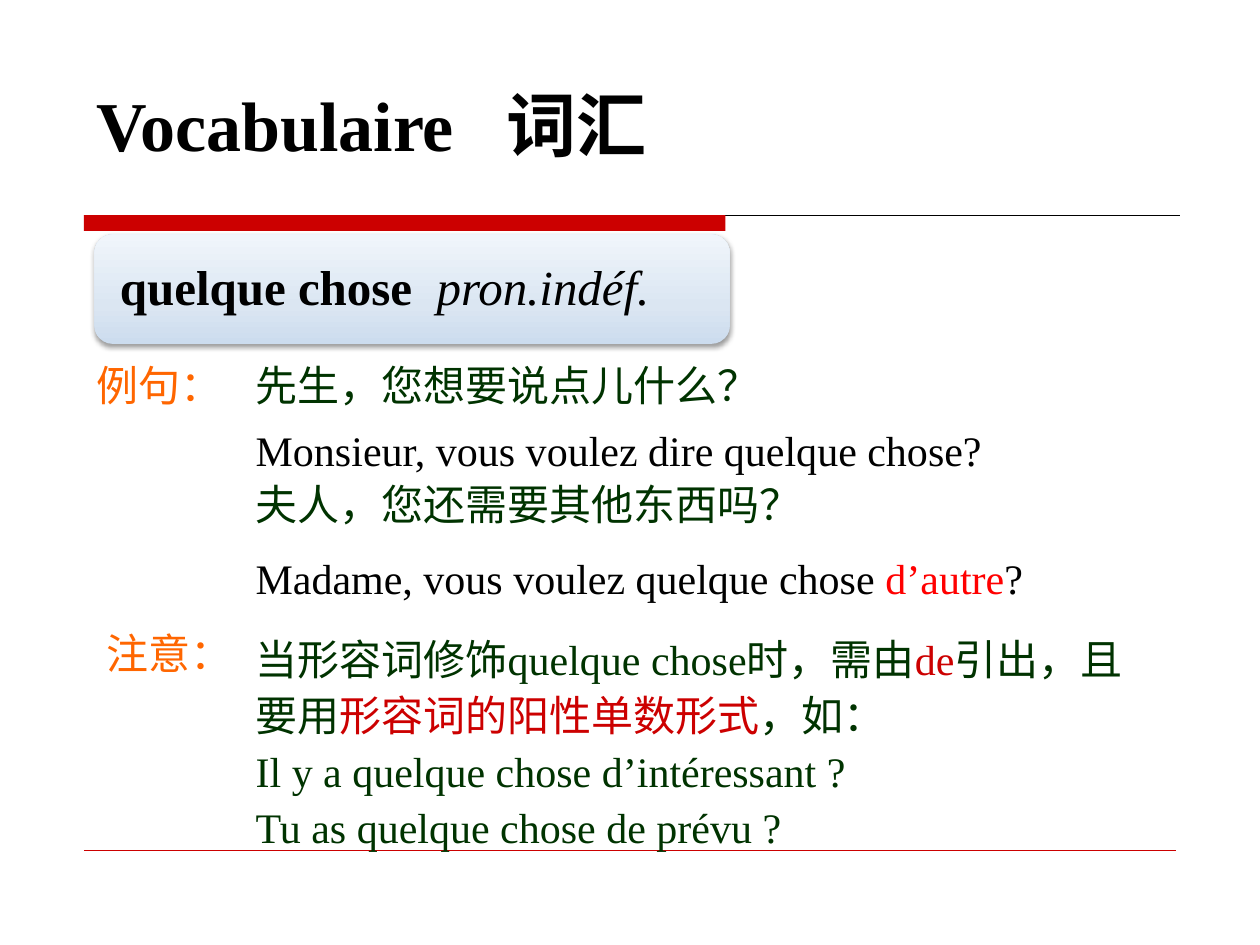
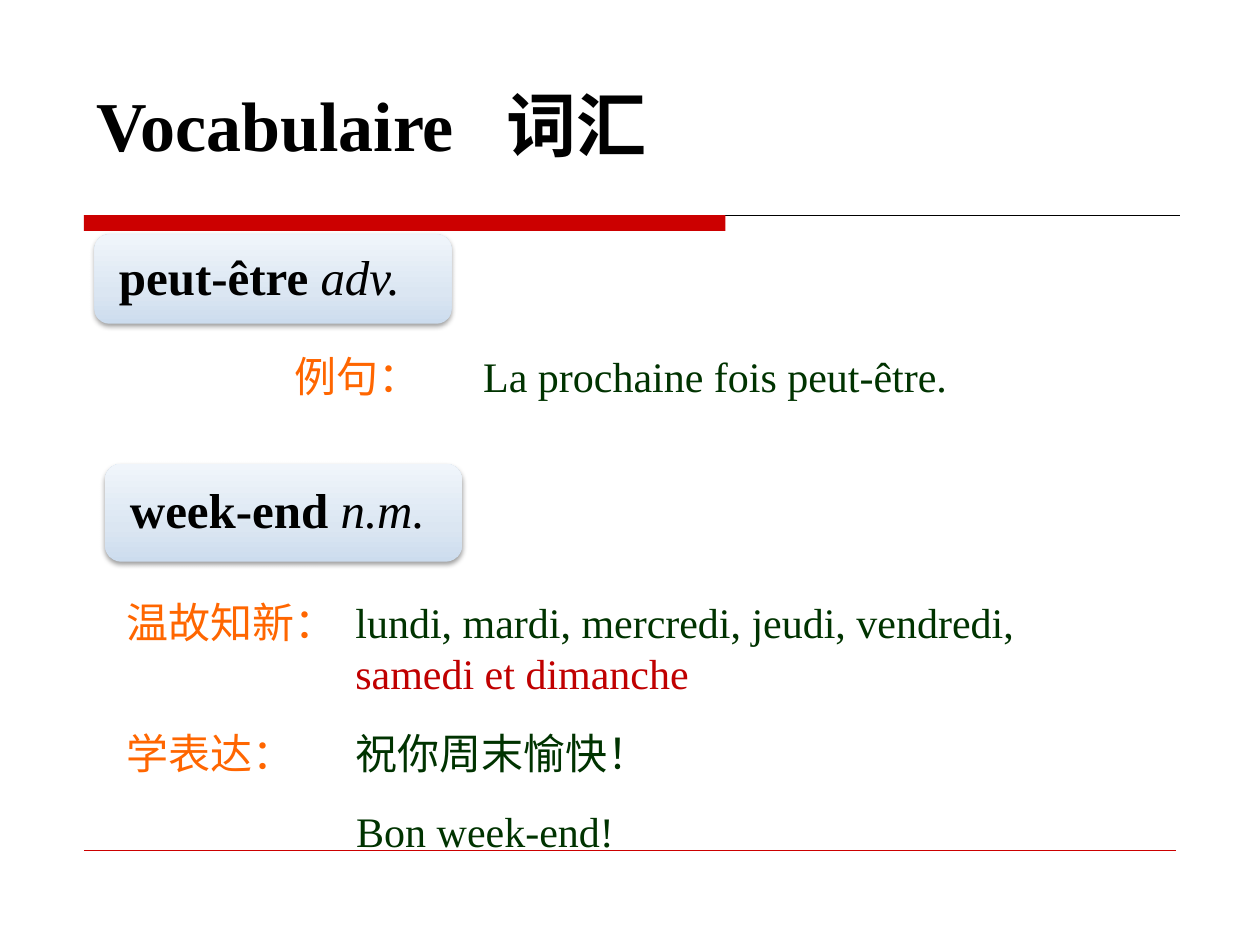
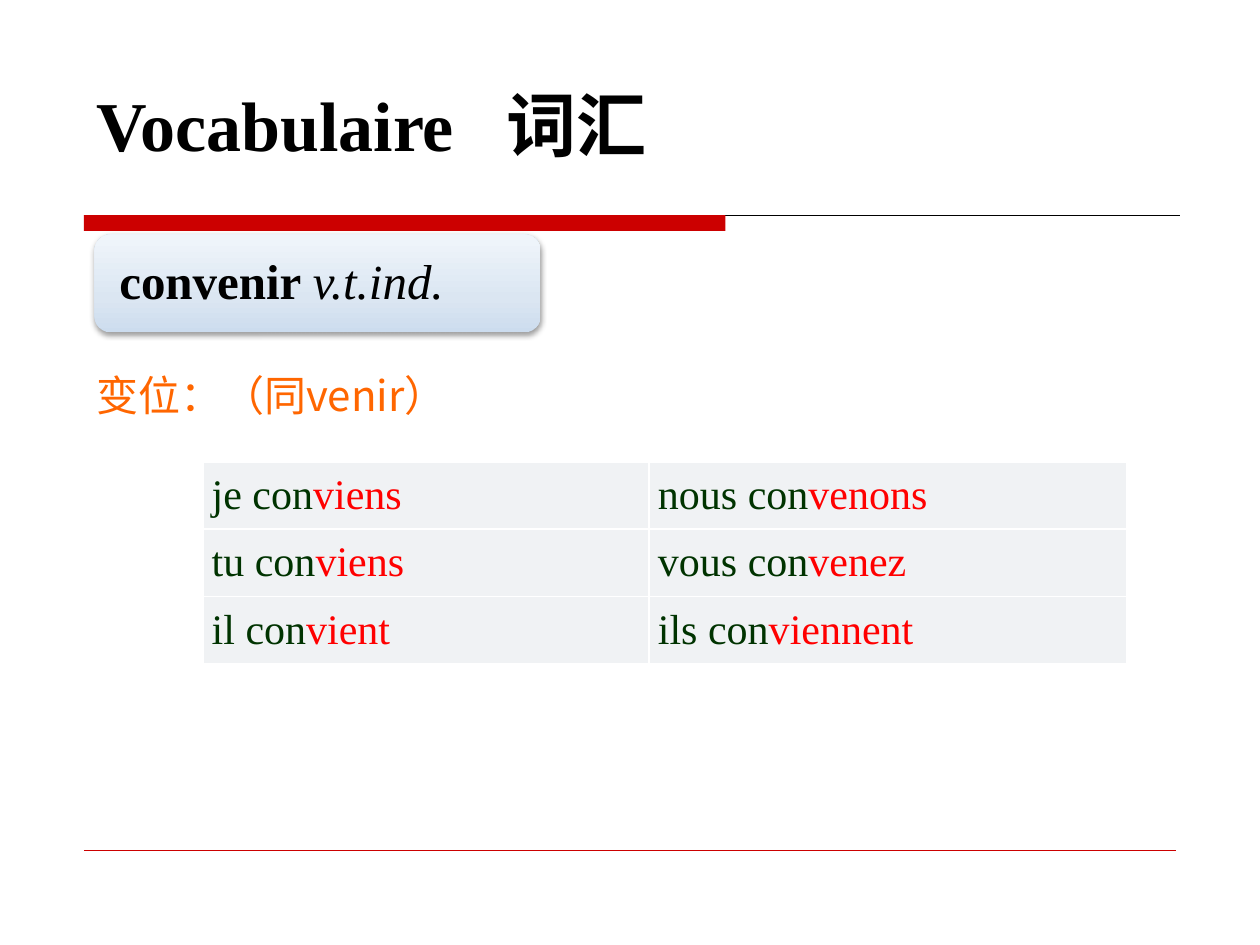
from copy import deepcopy
from dataclasses import dataclass

from lxml.etree import SubElement
from pptx import Presentation
from pptx.dml.color import RGBColor as RGB
from pptx.enum.shapes import MSO_CONNECTOR as LINE, MSO_SHAPE as SHAPE
from pptx.enum.text import MSO_ANCHOR as ANCHOR, MSO_AUTO_SIZE as AUTO, PP_ALIGN as ALIGN
from pptx.oxml.ns import qn
from pptx.util import Pt


@dataclass(frozen=True)
class Theme:
    latin: str = "Times New Roman"
    cjk: str = "Noto Sans CJK SC"
    title_size: int = 40
    card_size: int = 28
    body_size: int = 24
    black: str = "000000"
    white: str = "FFFFFF"
    green: str = "003300"
    orange: str = "FF6600"
    band: str = "CC0000"
    bright_red: str = "FF0000"
    dark_red: str = "C00000"
    cell: str = "F0F2F4"
    card_stops: tuple = ((0, "CCDCEE"), (0.35, "DBE6F2"), (1, "F0F5FB"))


THEME = Theme()
TITLE = "Vocabulaire\t词汇"


def add_run(p, text, *, size=THEME.body_size, color=THEME.green, font=THEME.latin,
            bold=False, italic=False):
    r = p.add_run()
    r.text = text
    r.font.size, r.font.bold, r.font.italic = Pt(size), bold, italic
    r.font.name = font
    r.font.color.rgb = RGB.from_string(color)
    SubElement(r.font._element, qn("a:ea"), typeface=THEME.cjk)


def add_tab(p, pos):
    tabs = SubElement(p._p.get_or_add_pPr(), qn("a:tabLst"))
    SubElement(tabs, qn("a:tab"), pos=str(Pt(pos)), algn="l")


def add_runs(p, runs, **fmt):
    """Each run is a plain string, or a (string, colour) pair."""
    for run in runs:
        if isinstance(run, str):
            add_run(p, run, **fmt)
        else:
            add_run(p, run[0], **{**fmt, "color": run[1]})


class Deck:
    def __init__(self, theme):
        self.theme = theme
        self.prs = Presentation()
        self.prs.slide_width, self.prs.slide_height = Pt(720), Pt(540)
        self.s = None

    def slide(self):
        """Start a slide with the shared title, band and footer rule."""
        t = self.theme
        self.s = self.prs.slides.add_slide(self.prs.slide_layouts[5])
        self.rule(48, 674.5, 123, t.black, 0.75)
        band = self.shape(SHAPE.RECTANGLE, 48, 123, 366.5, 9)
        band.fill.solid()
        band.fill.fore_color.rgb = RGB.from_string(t.band)
        self.rule(48, 672, 486, t.band, 0.25)

        title = self.s.shapes.title
        title.left, title.top, title.width, title.height = Pt(48), Pt(43), Pt(562), Pt(55.5)
        tf = title.text_frame
        tf.auto_size, tf.vertical_anchor = AUTO.NONE, ANCHOR.MIDDLE
        p = tf.paragraphs[0]
        add_tab(p, 234)
        p.alignment = ALIGN.LEFT
        add_run(p, TITLE, size=t.title_size, color=t.black, bold=True)

    def rule(self, x1, x2, y, color, width):
        line = self.s.shapes.add_connector(LINE.STRAIGHT, Pt(x1), Pt(y), Pt(x2), Pt(y))
        line.line.color.rgb = RGB.from_string(color)
        line.line.width = Pt(width)
        SubElement(line._element.spPr, qn("a:effectLst"))

    def shape(self, kind, x, y, w, h):
        sp = self.s.shapes.add_shape(kind, Pt(x), Pt(y), Pt(w), Pt(h))
        sp.shadow.inherit = False
        sp.line.fill.background()
        return sp

    def card(self, x, y, w, h, word, category, tab=None):
        """Rounded gradient card: a headword and its word class."""
        t = self.theme
        sp = self.shape(SHAPE.ROUNDED_RECTANGLE, x, y, w, h)
        sp.fill.gradient()
        sp.fill.gradient_angle = 90
        stops = sp._element.spPr.find(qn("a:gradFill")).find(qn("a:gsLst"))
        stops.insert(1, deepcopy(stops[0]))
        for stop, (pos, color) in zip(sp.fill.gradient_stops, t.card_stops):
            stop.position = pos
            stop.color.rgb = RGB.from_string(color)
        effects = sp._element.spPr.find(qn("a:effectLst"))
        shadow = SubElement(effects, qn("a:outerShdw"), blurRad=str(Pt(3.1)),
                            dist=str(Pt(1.6)), dir="5400000", rotWithShape="0")
        black = SubElement(shadow, qn("a:srgbClr"), val=t.black)
        SubElement(black, qn("a:alpha"), val="38000")

        tf = sp.text_frame
        tf.margin_left = tf.margin_right = Pt(11.5)
        tf.vertical_anchor = ANCHOR.MIDDLE
        p = tf.paragraphs[0]
        if tab:
            add_tab(p, tab)
        p.alignment, p.line_spacing = ALIGN.LEFT, 0.9
        add_run(p, word + ("\t" if tab else " "), size=t.card_size, color=t.black, bold=True)
        add_run(p, category, size=t.card_size, color=t.black, italic=True)

    def text(self, x, y, w, *paragraphs, h=36.5, spacing=None, indent=0, align=None, **fmt):
        """Each paragraph is a list of runs."""
        tf = self.s.shapes.add_textbox(Pt(x), Pt(y), Pt(w), Pt(h)).text_frame
        tf.word_wrap, tf.auto_size = True, AUTO.SHAPE_TO_FIT_TEXT
        for i, runs in enumerate(paragraphs):
            p = tf.add_paragraph() if i else tf.paragraphs[0]
            p._p.get_or_add_pPr().set("marL", str(Pt(indent)))
            p.alignment, p.line_spacing = align, spacing
            add_runs(p, runs, **fmt)

    def label(self, x, y, w, text):
        self.text(x, y, w, [text], color=self.theme.orange, font=self.theme.cjk)

    def example(self, y, w, *runs):
        """French sentence, indented to the column of its translation."""
        self.text(82, y, w, runs, h=45, spacing=1.5, indent=57, align=ALIGN.JUSTIFY,
                  color=self.theme.black)

    def table(self, x, y, widths, row_height, rows):
        t = self.theme
        table = self.s.shapes.add_table(len(rows), len(widths), Pt(x), Pt(y), Pt(sum(widths)),
                                        Pt(row_height * len(rows))).table
        table.first_row = table.horz_banding = False
        for column, width in zip(table.columns, widths):
            column.width = Pt(width)
        for i, row in enumerate(rows):
            for j, runs in enumerate(row):
                cell = table.cell(i, j)
                cell.margin_left = cell.margin_right = Pt(5)
                cell.margin_top = cell.margin_bottom = 0
                cell.vertical_anchor = ANCHOR.MIDDLE
                self.borders(cell)
                cell.fill.solid()
                cell.fill.fore_color.rgb = RGB.from_string(t.cell)
                p = cell.text_frame.paragraphs[0]
                p.alignment = ALIGN.JUSTIFY
                add_runs(p, runs)

    def borders(self, cell):
        for side in ("lnL", "lnR", "lnT", "lnB"):
            ln = SubElement(cell._tc.get_or_add_tcPr(), qn(f"a:{side}"), w=str(Pt(1)))
            fill = SubElement(ln, qn("a:solidFill"))
            SubElement(fill, qn("a:srgbClr"), val=self.theme.white)


def quelque_chose(deck):
    t = deck.theme
    deck.slide()
    deck.card(54, 134, 363, 62.5, "quelque chose", "pron.indéf.", tab=181)
    deck.label(48, 202, 102, "例句：")
    deck.text(139, 202, 436, ["先生，您想要说点儿什么？"])
    deck.example(224.5, 544, "Monsieur, vous voulez dire quelque chose?")
    deck.label(54, 355, 91, "注意：")
    deck.text(139, 270, 436, ["夫人，您还需要其他东西吗？"])
    deck.text(139, 355, 516,
              ["当形容词修饰quelque chose时，需由", ("de", t.band), "引出，且要用",
               ("形容词的阳性单数形式", t.band), "，如："],
              ["Il y a quelque chose d’intéressant ?"],
              ["Tu as quelque chose de prévu ?"],
              h=134, spacing=Pt(32))
    deck.example(298, 624, "Madame, vous voulez quelque chose ", ("d’autre", t.bright_red), "?")


def peut_etre_and_week_end(deck):
    deck.slide()
    deck.card(54, 134, 204, 51, "peut-être", "adv.")
    deck.text(269, 196.5, 317.5, ["La prochaine fois peut-être."])
    deck.label(161, 196.5, 108, "例句：")
    deck.card(60, 265, 204, 56, "week-end", "n.m.")
    deck.label(65, 337.5, 142, "温故知新：")
    deck.text(196, 337.5, 425.5, ["lundi, mardi, mercredi, jeudi, vendredi, ",
                                  ("samedi et dimanche", deck.theme.dark_red)], h=65.5)
    deck.label(65, 412, 142, "学表达：")
    deck.text(196, 412, 436, ["祝你周末愉快！"])
    deck.text(190, 445.5, 459.5, ["Bon week-end!"], h=44, spacing=Pt(40), indent=6.5)


def convenir(deck):
    forms = [("je", "viens", "nous", "venons"),
             ("tu", "viens", "vous", "venez"),
             ("il", "vient", "ils", "viennent")]
    deck.slide()
    deck.card(54, 134, 255, 56, "convenir", "v.t.ind.")
    deck.label(48, 207.5, 266, "变位：（同venir）")
    red = deck.theme.bright_red
    deck.table(116, 264, (255, 273), 38.4,
               [[(f"{one} con", (end_one, red)), (f"{many} con", (end_many, red))]
                for one, end_one, many, end_many in forms])


def main():
    deck = Deck(THEME)
    for build in (quelque_chose, peut_etre_and_week_end, convenir):
        build(deck)
    deck.prs.save("out.pptx")


if __name__ == "__main__":
    main()
